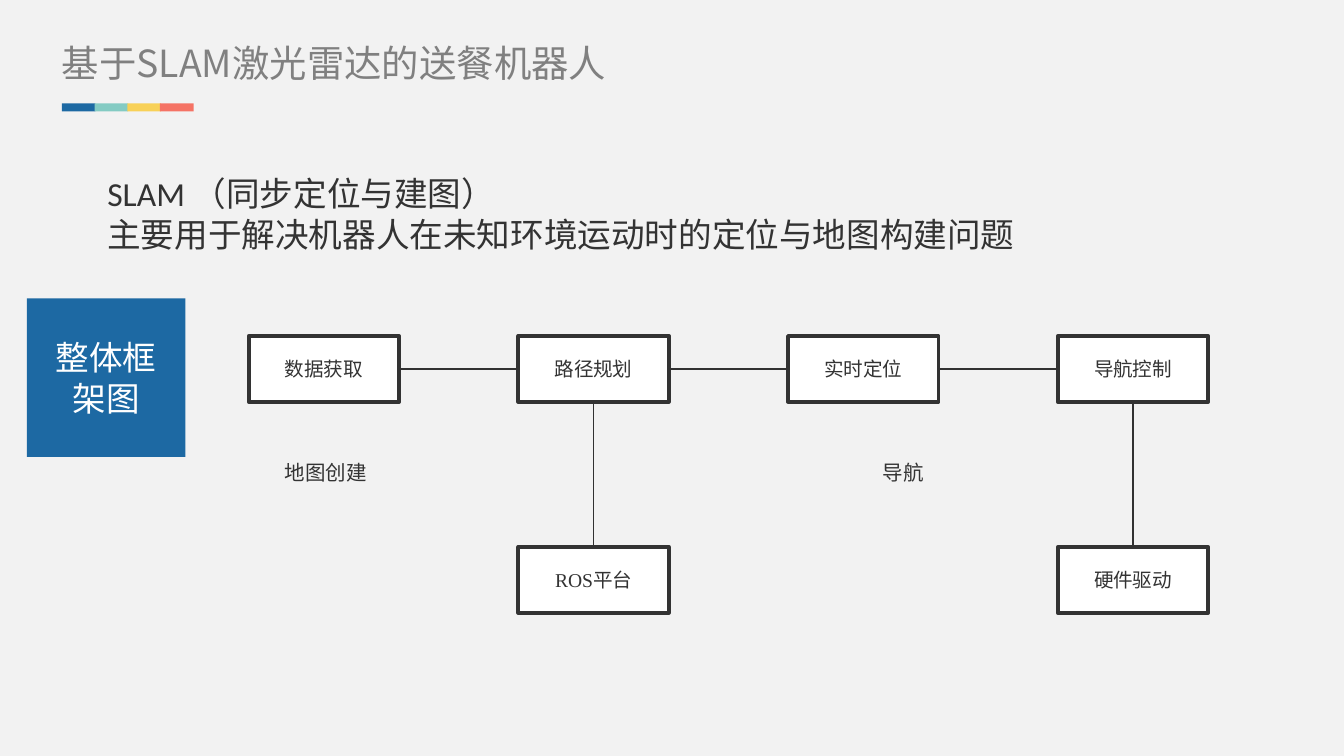
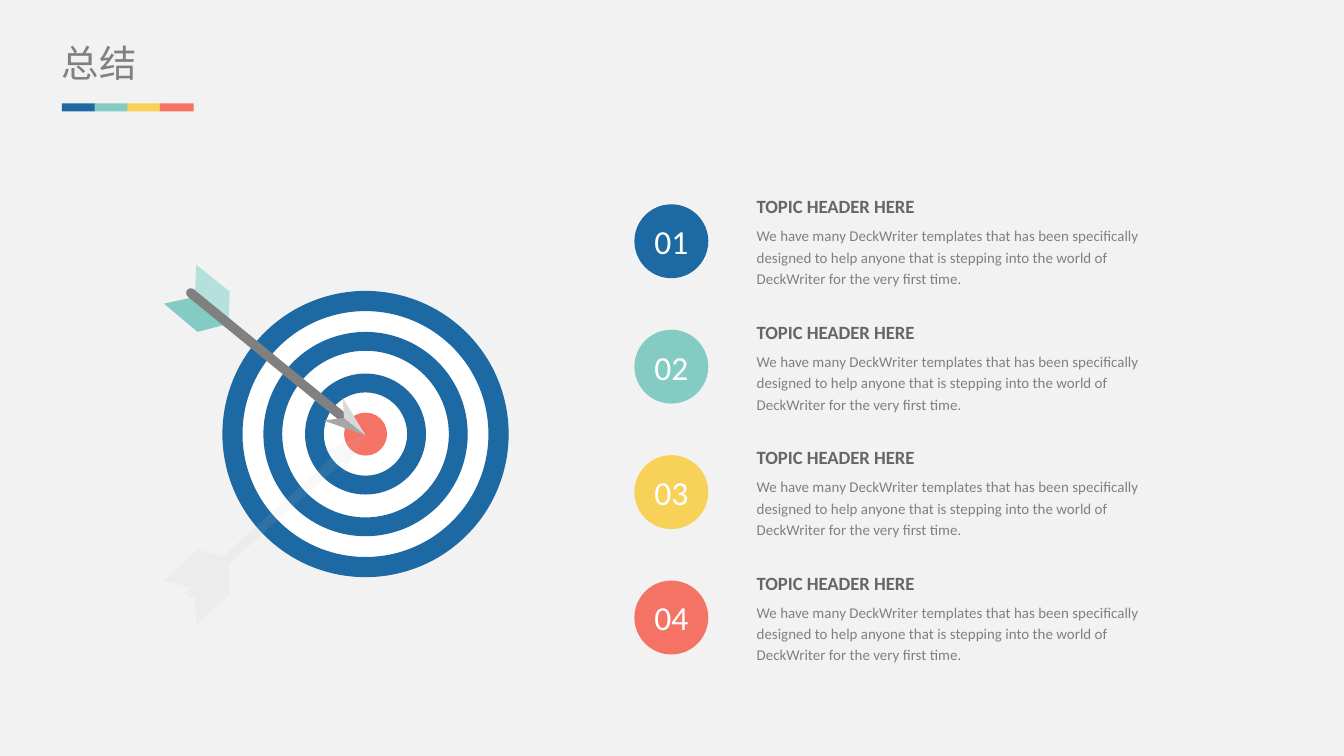
import math
from lxml import etree
from pptx import Presentation
from pptx.dml.color import RGBColor
from pptx.enum.shapes import MSO_CONNECTOR, MSO_SHAPE
from pptx.enum.text import MSO_ANCHOR, MSO_AUTO_SIZE, PP_ALIGN
from pptx.oxml.ns import qn
from pptx.util import Inches, Pt

RECTANGLE, OVAL = MSO_SHAPE.RECTANGLE, MSO_SHAPE.OVAL
DONUT, ROUNDED = MSO_SHAPE.DONUT, MSO_SHAPE.ROUNDED_RECTANGLE
STRAIGHT = MSO_CONNECTOR.STRAIGHT
TOP, MIDDLE = MSO_ANCHOR.TOP, MSO_ANCHOR.MIDDLE
LEFT, CENTER = PP_ALIGN.LEFT, PP_ALIGN.CENTER
GROW, FIXED = MSO_AUTO_SIZE.SHAPE_TO_FIT_TEXT, MSO_AUTO_SIZE.NONE
SITE_TOP, SITE_LEFT, SITE_BOTTOM, SITE_RIGHT = range(4)

COLORS = {
    "background": "F2F2F2", "blue": "1D69A3", "teal": "84CBC3",
    "yellow": "F8D158", "red": "F57365", "pale teal": "B5E0DB",
    "white": "FFFFFF", "ink": "333333", "link": "323232",
    "heading": "666666", "gray": "808080", "steel": "A6A6A6",
    "silver": "D9D9D9", "shadow": "BFBFBF",
}
ACCENTS = ["blue", "teal", "yellow", "red"]
CJK_FONT = "Noto Sans CJK SC"
PAGE_WIDTH = 10
PAGE_HEIGHT = PAGE_WIDTH * 9 / 16

ROBOT_TITLE = "基于SLAM激光雷达的送餐机器人"
SLAM_INTRO = ["SLAM （同步定位与建图）", "主要用于解决机器人在未知环境运动时的定位与地图构建问题"]
FRAME_LABEL = "整体框架图"
STEPS = ["数据获取", "路径规划", "实时定位", "导航控制"]
SUPPORTS = {1: "ROS平台", 3: "硬件驱动"}
CAPTIONS = [("地图创建", 2.02), ("导航", 6.47)]
NODE_SIZE = (1.12, 0.49)
NODE_LEFT, NODE_PITCH = 1.85, (7.87 - 1.85) / 3
STEP_TOP, SUPPORT_TOP = 2.5, 4.07

SUMMARY_TITLE = "总结"
TOPIC_HEADER = "TOPIC HEADER HERE"
TOPIC_BODY = ("We have many DeckWriter templates that has been specifically "
              "designed to help anyone that is stepping into the world of "
              "DeckWriter for the very first time.")
TOPIC_TOP, TOPIC_PITCH = 1.42, (4.22 - 1.42) / 3

TARGET_CENTER = (2.72, 3.23)
DISCS = [(2.11, "white"), (0.32, "red")]
RINGS = [(2.13, 0.15), (1.52, 0.14), (0.9, 0.14)]
SHAFT_ENDS = [(1.42, 2.18), (2.62, 3.16)]
SHAFT_WIDTH = 0.07
FEATHERS = [
    ("teal", [(1.7, 2.41), (1.47, 2.47), (1.22, 2.26), (1.45, 2.21)]),
    ("pale teal", [(1.7, 2.41), (1.71, 2.17), (1.46, 1.97), (1.45, 2.21)]),
]
ARROW_TIP = [
    ("steel", [(2.41, 3.13), (2.72, 3.24), (2.56, 3.11)]),
    ("silver", [(2.56, 3.11), (2.72, 3.24), (2.55, 2.96)]),
]
ARROW_SHADOW = [
    (2.72, 3.23), (2.55, 3.54), (2.56, 3.43), (1.7, 4.2), (1.71, 4.42),
    (1.46, 4.65), (1.45, 4.43), (1.41, 4.45), (1.38, 4.41), (1.41, 4.37),
    (1.22, 4.32), (1.47, 4.09), (1.66, 4.14), (2.51, 3.37), (2.41, 3.36),
]


def color(name):
    return RGBColor.from_string(COLORS[name])


def write(box, text, size=18, font="Calibri", ink="ink", bold=False,
          align=LEFT, anchor=TOP, inset=None, fit=FIXED, spacing=None, before=0):
    frame = box.text_frame
    frame.word_wrap = True
    frame.auto_size = fit
    frame.vertical_anchor = anchor
    if inset is not None:
        frame.margin_left = frame.margin_right = Inches(inset)
        frame.margin_top = frame.margin_bottom = Inches(inset)
    lines = [text] if isinstance(text, str) else text
    for index, line in enumerate(lines):
        para = frame.add_paragraph() if index else frame.paragraphs[0]
        content, style = line if isinstance(line, tuple) else (line, {})
        para.alignment = align
        if spacing:
            para.line_spacing = spacing
        if index and before:
            para.space_before = Pt(before)
        span = para.add_run()
        span.text = content
        span.font.size = Pt(style.get("size", size))
        span.font.bold = style.get("bold", bold)
        span.font.name = font
        span.font.color.rgb = color(style.get("ink", ink))
        east_asian = etree.SubElement(span._r.get_or_add_rPr(), qn("a:ea"))
        east_asian.set("typeface", CJK_FONT)


def paint(shape, fill, line=None, width=2):
    shape.shadow.inherit = False
    shape.fill.solid()
    shape.fill.fore_color.rgb = color(fill)
    if line:
        shape.line.color.rgb = color(line)
        shape.line.width = Pt(width)
    else:
        shape.line.fill.background()
    return shape


def add_shape(parent, kind, left, top, width, height, fill, line=None):
    box = parent.shapes.add_shape(kind, *map(Inches, (left, top, width, height)))
    return paint(box, fill, line)


def add_centered(parent, kind, center, width, height, fill):
    left, top = center[0] - width / 2, center[1] - height / 2
    return add_shape(parent, kind, left, top, width, height, fill)


def add_text(page, left, top, width, height, text, **style):
    box = page.shapes.add_textbox(*map(Inches, (left, top, width, height)))
    write(box, text, fit=GROW, **style)


def add_polygon(parent, points, fill):
    start, *others = [(Inches(x), Inches(y)) for x, y in points]
    builder = parent.shapes.build_freeform(*start)
    builder.add_line_segments(others, close=True)
    return paint(builder.convert_to_shape(), fill)


def add_link(page, start, start_site, end, end_site):
    link = page.shapes.add_connector(STRAIGHT, 0, 0, 0, 0)
    link.begin_connect(start, start_site)
    link.end_connect(end, end_site)
    link.line.color.rgb = color("link")
    link.line.width = Pt(0.75)
    etree.SubElement(link._element.spPr, qn("a:effectLst"))


def add_page(deck, title, title_width):
    page = deck.slides.add_slide(deck.slide_layouts[5])
    box = page.shapes.title
    box.left, box.top = Inches(0.46), Inches(0.3)
    box.width, box.height = Inches(title_width), Inches(0.34)
    write(box, title, size=20, font=CJK_FONT, ink="gray", inset=0, fit=GROW)
    strip = page.shapes.add_group_shape()
    for index, accent in enumerate(ACCENTS):
        add_shape(strip, RECTANGLE, 0.46 + index * 0.73 / 3, 0.77, 0.25, 0.06, accent)
    return page


def add_node(page, column, top, text):
    left = NODE_LEFT + column * NODE_PITCH
    node = add_shape(page, RECTANGLE, left, top, *NODE_SIZE, "white", "ink")
    write(node, text, size=10.5, font="Times New Roman", align=CENTER, anchor=MIDDLE)
    return node


def build_framework(deck):
    page = add_page(deck, ROBOT_TITLE, 4.23)
    add_text(page, 0.7, 1.24, 7.45, 0.71, SLAM_INTRO)
    steps = [add_node(page, column, STEP_TOP, text) for column, text in enumerate(STEPS)]
    for start, end in zip(steps, steps[1:]):
        add_link(page, start, SITE_RIGHT, end, SITE_LEFT)
    for column, text in SUPPORTS.items():
        support = add_node(page, column, SUPPORT_TOP, text)
        add_link(page, support, SITE_TOP, steps[column], SITE_BOTTOM)
    for text, left in CAPTIONS:
        add_text(page, left, 3.37, 1.12, 0.29, text, size=11)
    label = add_shape(page, RECTANGLE, 0.2, 2.22, 1.18, 1.18, "blue")
    write(label, FRAME_LABEL, ink="white", align=CENTER, anchor=MIDDLE)


def add_target(page):
    target = page.shapes.add_group_shape()
    for size, fill in DISCS:
        add_centered(target, OVAL, TARGET_CENTER, size, size, fill)
    for size, thickness in RINGS:
        ring = add_centered(target, DONUT, TARGET_CENTER, size, size, "blue")
        ring.adjustments[0] = thickness / size


def add_arrow(page):
    arrow = page.shapes.add_group_shape()
    for fill, points in FEATHERS:
        add_polygon(arrow, points, fill)
    (x1, y1), (x2, y2) = SHAFT_ENDS
    length = math.hypot(x2 - x1, y2 - y1) + SHAFT_WIDTH
    middle = ((x1 + x2) / 2, (y1 + y2) / 2)
    shaft = add_centered(arrow, ROUNDED, middle, length, SHAFT_WIDTH, "gray")
    shaft.adjustments[0] = 0.5
    shaft.rotation = math.degrees(math.atan2(y2 - y1, x2 - x1))
    for fill, points in ARROW_TIP:
        add_polygon(arrow, points, fill)
    shadow = add_polygon(page, ARROW_SHADOW, "shadow")
    tint = shadow._element.spPr.find(qn("a:solidFill"))[0]
    etree.SubElement(tint, qn("a:alpha")).set("val", "10000")


def build_summary(deck):
    page = add_page(deck, SUMMARY_TITLE, 3.04)
    add_target(page)
    add_arrow(page)
    topic = [(TOPIC_HEADER, {"size": 10, "ink": "heading", "bold": True}), TOPIC_BODY]
    for index, accent in enumerate(ACCENTS):
        top = TOPIC_TOP + index * TOPIC_PITCH
        add_text(page, 5.63, top, 2.91, 0.73, topic, size=8, ink="gray",
                 inset=0, spacing=1.2, before=3)
        badge = add_shape(page, OVAL, 4.72, top + 0.1, 0.55, 0.55, accent)
        write(badge, f"{index + 1:02d}", ink="white", align=CENTER,
              anchor=MIDDLE, inset=0)


def main():
    deck = Presentation()
    deck.slide_width, deck.slide_height = Inches(PAGE_WIDTH), Inches(PAGE_HEIGHT)
    backdrop = deck.slide_master.background.fill
    backdrop.solid()
    backdrop.fore_color.rgb = color("background")
    build_framework(deck)
    build_summary(deck)
    deck.save("out.pptx")


if __name__ == "__main__":
    main()
